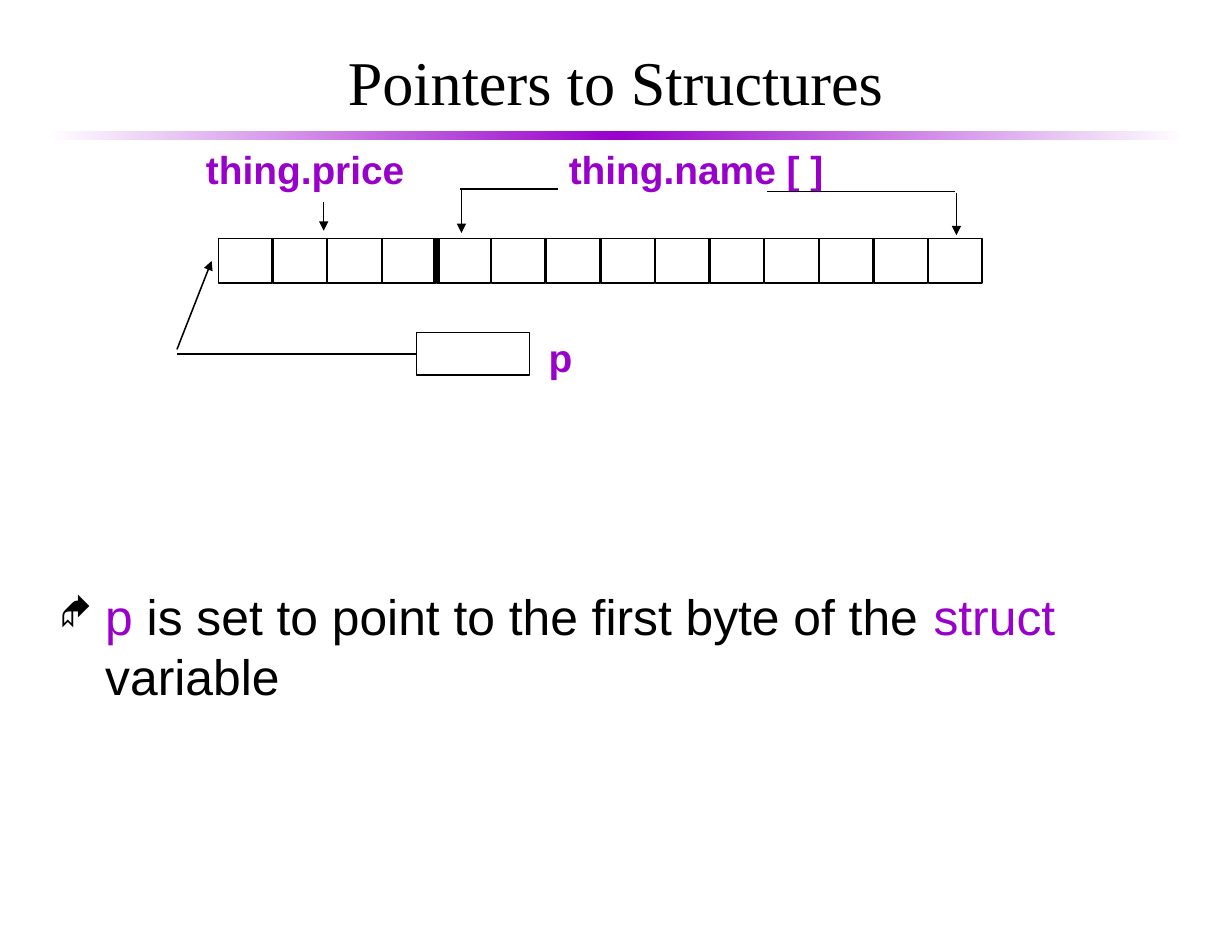
from copy import deepcopy
from dataclasses import dataclass

from lxml.etree import SubElement
from pptx import Presentation
from pptx.dml.color import RGBColor as RGB
from pptx.enum.shapes import MSO_CONNECTOR as Connector, MSO_SHAPE as Shape
from pptx.enum.text import MSO_ANCHOR as Anchor, PP_ALIGN as Align
from pptx.oxml.ns import qn
from pptx.util import Inches, Pt


@dataclass(frozen=True)
class Theme:
    ink = RGB(0x00, 0x00, 0x00)
    accent = RGB(0x99, 0x00, 0xCC)
    paper = RGB(0xFF, 0xFF, 0xFF)
    title = {"name": "Times New Roman", "size": Pt(40)}
    body = {"name": "Arial", "size": Pt(32)}
    label = {"name": "Arial", "size": Pt(25), "bold": True}
    bullet_font = "Wingdings"
    thin = 1
    thick = 4.5


THEME = Theme()

TITLE = "Pointers to Structures"
BULLET = [
    ("p", THEME.accent),
    (" is set to point to the first byte of the ", THEME.ink),
    ("struct", THEME.accent),
    (" variable", THEME.ink),
]
LABELS = [
    ("thing.price", (1.74, 1.3, 1.98, 0.48)),
    ("thing.name [ ]", (4.98, 1.3, 2.48, 0.48)),
    ("p", (4.8, 2.98, 0.42, 0.48)),
]
# start, end, has an arrowhead
LINES = [
    ((2.89, 1.8), (2.89, 2.06), True),
    ((4.98, 1.69), (4.11, 1.69), False),
    ((4.12, 1.7), (4.12, 2.08), True),
    ((6.85, 1.71), (8.53, 1.71), False),
    ((8.54, 1.72), (8.54, 2.1), True),
    ((1.58, 3.12), (1.89, 2.33), True),
]
BYTE_COUNT, PRICE_BYTES = 14, 4
FIRST_LEFT, LAST_LEFT = 1.95, 8.29
BYTE_TOP, BYTE_WIDTH, BYTE_HEIGHT = 2.13, 0.48, 0.4
POINTER_BOX = (3.72, 2.97, 1.01, 0.38)
POINTER_CORNER = (1.58, 3.16)


def apply_format(target, values):
    for name, value in values.items():
        setattr(target, name, value)


def add_text(slide, box, runs, font, frame_format, paragraph_format):
    """Add one paragraph made of (text, colour) runs."""
    frame = slide.shapes.add_textbox(*map(Inches, box)).text_frame
    apply_format(frame, frame_format)
    paragraph = frame.paragraphs[0]
    apply_format(paragraph, paragraph_format)
    for text, color in runs:
        run = paragraph.add_run()
        run.text = text
        apply_format(run.font, font)
        run.font.color.rgb = color
    return paragraph


def add_diamond_bullet(paragraph, indent):
    properties = paragraph._p.get_or_add_pPr()
    properties.set("marL", str(indent))
    properties.set("indent", str(-indent))
    color = SubElement(properties, qn("a:buClr"))
    SubElement(color, qn("a:srgbClr"), val=str(THEME.ink))
    SubElement(properties, qn("a:buSzPct"), val="75000")
    SubElement(properties, qn("a:buFont"), typeface=THEME.bullet_font)
    SubElement(properties, qn("a:buChar"), char="◆")


def add_title_rule(slide, box):
    """Add the bar that fades from the accent to the paper at both ends."""
    bar = slide.shapes.add_shape(Shape.RECTANGLE, *map(Inches, box))
    bar.shadow.inherit = False
    bar.line.fill.background()
    bar.fill.gradient()
    bar.fill.gradient_angle = 0
    stop_list = bar._element.spPr.find(".//" + qn("a:gsLst"))
    stop_list.insert(1, deepcopy(stop_list[0]))
    colors = (THEME.paper, THEME.accent, THEME.paper)
    for stop, position, color in zip(bar.fill.gradient_stops, (0, 0.5, 1), colors):
        stop.position = position
        stop.color.rgb = color


def add_box(slide, box):
    shape = slide.shapes.add_shape(Shape.RECTANGLE, *map(Inches, box))
    shape.shadow.inherit = False
    shape.fill.background()
    shape.line.color.rgb = THEME.ink
    shape.line.width = Pt(THEME.thin)
    return shape


def add_line(slide, start, end, arrow=False, width=THEME.thin):
    line = slide.shapes.add_connector(Connector.STRAIGHT, *map(Inches, start + end))
    line.line.color.rgb = THEME.ink
    line.line.width = Pt(width)
    if arrow:
        SubElement(line.line._get_or_add_ln(), qn("a:tailEnd"), type="triangle")
    SubElement(line._element.spPr, qn("a:effectLst"))
    return line


def add_bytes(slide):
    pitch = (LAST_LEFT - FIRST_LEFT) / (BYTE_COUNT - 1)
    for index in range(BYTE_COUNT):
        left = FIRST_LEFT + index * pitch
        add_box(slide, (left, BYTE_TOP, BYTE_WIDTH, BYTE_HEIGHT))
    divider = FIRST_LEFT + PRICE_BYTES * pitch
    add_line(slide, (divider, BYTE_TOP), (divider, BYTE_TOP + BYTE_HEIGHT),
             width=THEME.thick)


def add_pointer(slide):
    box = add_box(slide, POINTER_BOX)
    left, top, _, height = POINTER_BOX
    line = add_line(slide, (left, top + height / 2), POINTER_CORNER)
    line.begin_connect(box, 1)


def main():
    presentation = Presentation()
    presentation.slide_width, presentation.slide_height = Inches(11), Inches(8.5)
    slide = presentation.slides.add_slide(presentation.slide_layouts[6])

    add_title_rule(slide, (0.42, 1.17, 10.17, 0.08))
    margins = {"margin_left": Inches(0.11), "margin_right": Inches(0.11),
               "margin_top": Inches(0.06), "margin_bottom": Inches(0.06),
               "word_wrap": True}
    add_text(slide, (0.58, 0.28, 9.83, 0.88), [(TITLE, THEME.ink)], THEME.title,
             {**margins, "vertical_anchor": Anchor.MIDDLE},
             {"alignment": Align.CENTER})
    bullet = add_text(slide, (0.42, 5.17, 10.17, 2.91), BULLET, THEME.body,
                      margins, {})
    add_diamond_bullet(bullet, Inches(0.41))

    add_bytes(slide)
    for text, box in LABELS:
        add_text(slide, box, [(text, THEME.accent)], THEME.label,
                 {"word_wrap": False}, {"line_spacing": 0.9})
    add_pointer(slide)
    for start, end, arrow in LINES:
        add_line(slide, start, end, arrow)

    presentation.save("out.pptx")


if __name__ == "__main__":
    main()
